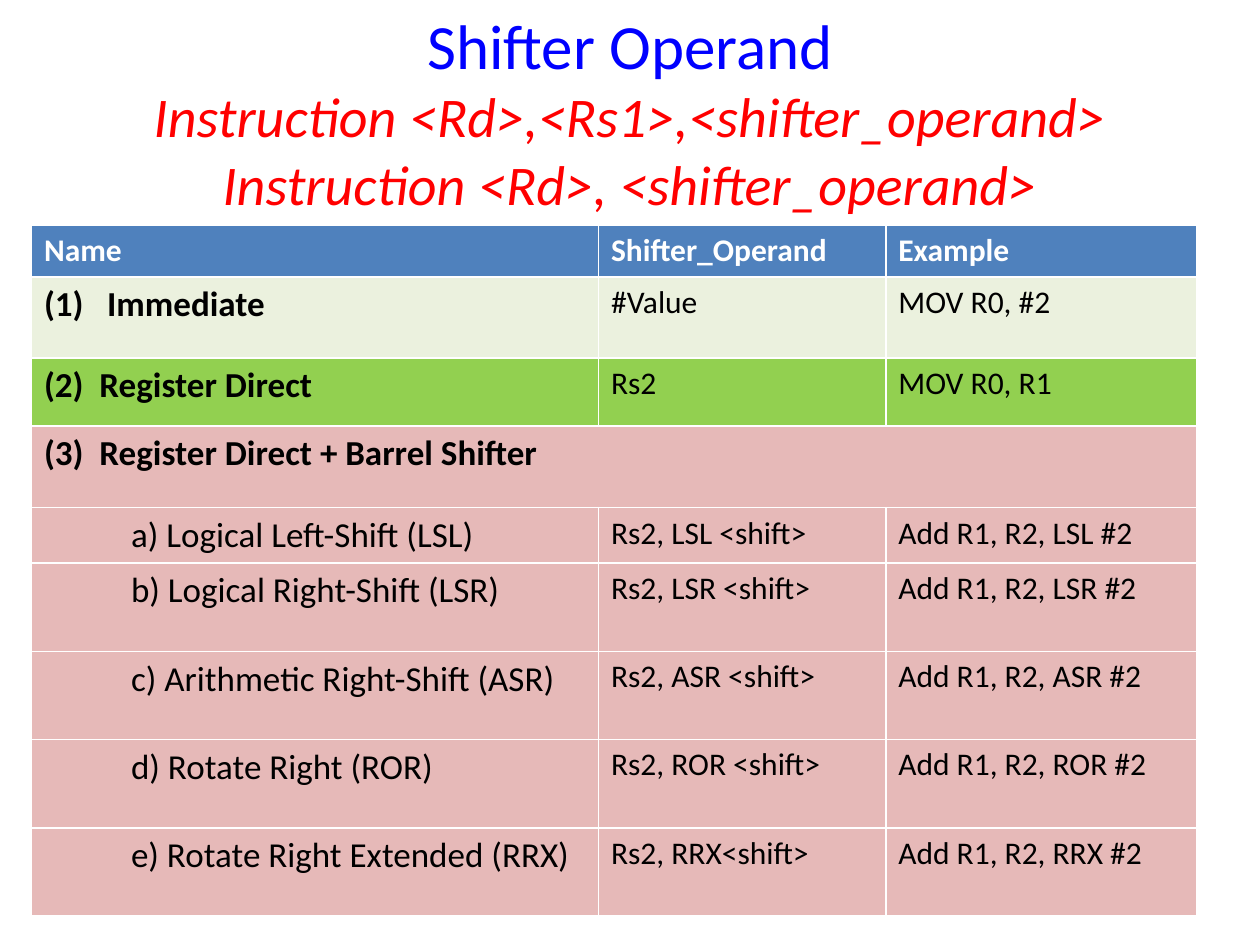
from dataclasses import dataclass

import pptx
import pptx.dml.color
import pptx.enum.text
import pptx.oxml.ns
import pptx.util
from lxml import etree

Inches = pptx.util.Inches


@dataclass(frozen=True)
class Theme:
    font: str = "Calibri"
    title: str = "0000FF"
    syntax: str = "FF0000"
    text: str = "000000"
    header_text: str = "FFFFFF"
    header: str = "4F81BD"
    immediate: str = "EBF1DE"
    register: str = "92D050"
    barrel: str = "E6B9B8"
    title_size: int = 36
    syntax_size: int = 32
    name_size: int = 20
    body_size: int = 18


THEME = Theme()

TITLE = "Shifter Operand"
SYNTAX = (
    "Instruction <Rd>,<Rs1>,<shifter_operand>",
    "Instruction <Rd>, <shifter_operand>",
)
HEADINGS = ("Name", "Shifter_Operand", "Example")
SHIFTS = (
    ("a) Logical Left-Shift (LSL)", "Rs2, LSL <shift>", "Add R1, R2, LSL #2"),
    ("b) Logical Right-Shift (LSR)", "Rs2, LSR <shift>", "Add R1, R2, LSR #2"),
    ("c) Arithmetic Right-Shift (ASR)", "Rs2, ASR <shift>", "Add R1, R2, ASR #2"),
    ("d) Rotate Right (ROR)", "Rs2, ROR <shift>", "Add R1, R2, ROR #2"),
    ("e) Rotate Right Extended (RRX)", "Rs2, RRX<shift>", "Add R1, R2, RRX #2"),
)
COLUMN_WIDTHS = (4.5, 2.28, 2.47)
ROW_HEIGHTS = (0.41, 0.64, 0.54, 0.65, 0.43) + (0.7,) * 4


def write(paragraph, text, size=THEME.body_size, color=THEME.text, bold=False,
          italic=False, align=None, left=0, first=0, numbering=None):
    """Fill one paragraph; left and first are its indents in inches."""
    properties = paragraph._p.get_or_add_pPr()
    if left or first:
        properties.set("marL", str(Inches(left)))
        properties.set("indent", str(Inches(first)))
    if numbering:
        etree.SubElement(properties, pptx.oxml.ns.qn("a:buAutoNum"), type=numbering)
    if align is not None:
        paragraph.alignment = align
    run = paragraph.add_run()
    run.text = text
    run.font.name = THEME.font
    run.font.size = pptx.util.Pt(size)
    run.font.bold = bold
    run.font.italic = italic
    run.font.color.rgb = pptx.dml.color.RGBColor.from_string(color)


def place_title(slide, left, top, width, height):
    title = slide.shapes.title
    title.left, title.top, title.width, title.height = left, top, width, height
    frame = title.text_frame
    frame.word_wrap = True
    frame.auto_size = pptx.enum.text.MSO_AUTO_SIZE.NONE
    frame.vertical_anchor = pptx.enum.text.MSO_ANCHOR.TOP
    center = pptx.enum.text.PP_ALIGN.CENTER
    write(frame.paragraphs[0], TITLE, size=THEME.title_size,
          color=THEME.title, align=center)
    for line in SYNTAX:
        write(frame.add_paragraph(), line, size=THEME.syntax_size,
              color=THEME.syntax, italic=True, align=center)


def fill_row(row, texts, fill, name_format, **rest_format):
    """Colour a row and write it, its first cell in name_format."""
    for cell in row.cells:
        cell.fill.solid()
        cell.fill.fore_color.rgb = pptx.dml.color.RGBColor.from_string(fill)
    for column, (cell, text) in enumerate(zip(row.cells, texts)):
        style = rest_format if column else name_format
        write(cell.text_frame.paragraphs[0], text, **style)


def place_operand_table(slide, left, top, width, height):
    table = slide.shapes.add_table(
        len(ROW_HEIGHTS), len(COLUMN_WIDTHS), left, top, width, height).table
    table.horz_banding = False
    for column, column_width in zip(table.columns, COLUMN_WIDTHS):
        column.width = Inches(column_width)
    for row, row_height in zip(table.rows, ROW_HEIGHTS):
        row.height = Inches(row_height)

    heading = dict(color=THEME.header_text, bold=True)
    mode = dict(size=THEME.name_size, bold=True)
    numbered = dict(mode, left=0.5, first=-0.5, numbering="arabicParenBoth")
    shift = dict(size=THEME.name_size, left=0.69)

    table.cell(3, 0).merge(table.cell(3, 2))
    header, immediate, register, barrel, *shift_rows = table.rows
    fill_row(header, HEADINGS, THEME.header, heading, **heading)
    fill_row(immediate, ("Immediate", "#Value", "MOV R0, #2"),
             THEME.immediate, numbered)
    fill_row(register, ("(2)  Register Direct", "Rs2", "MOV R0, R1"),
             THEME.register, mode)
    fill_row(barrel, ("(3)  Register Direct + Barrel Shifter",),
             THEME.barrel, mode)
    for row, texts in zip(shift_rows, SHIFTS):
        fill_row(row, texts, THEME.barrel, shift)


def main():
    presentation = pptx.Presentation()
    presentation.slide_width = Inches(10)
    presentation.slide_height = Inches(7.5)
    title_only = presentation.slide_layouts.get_by_name("Title Only")
    slide = presentation.slides.add_slide(title_only)
    place_title(slide, Inches(0.5), Inches(0), Inches(9), Inches(0.75))
    place_operand_table(slide, Inches(0.25), Inches(1.79),
                        Inches(sum(COLUMN_WIDTHS)), Inches(sum(ROW_HEIGHTS)))
    presentation.save("out.pptx")


if __name__ == "__main__":
    main()
